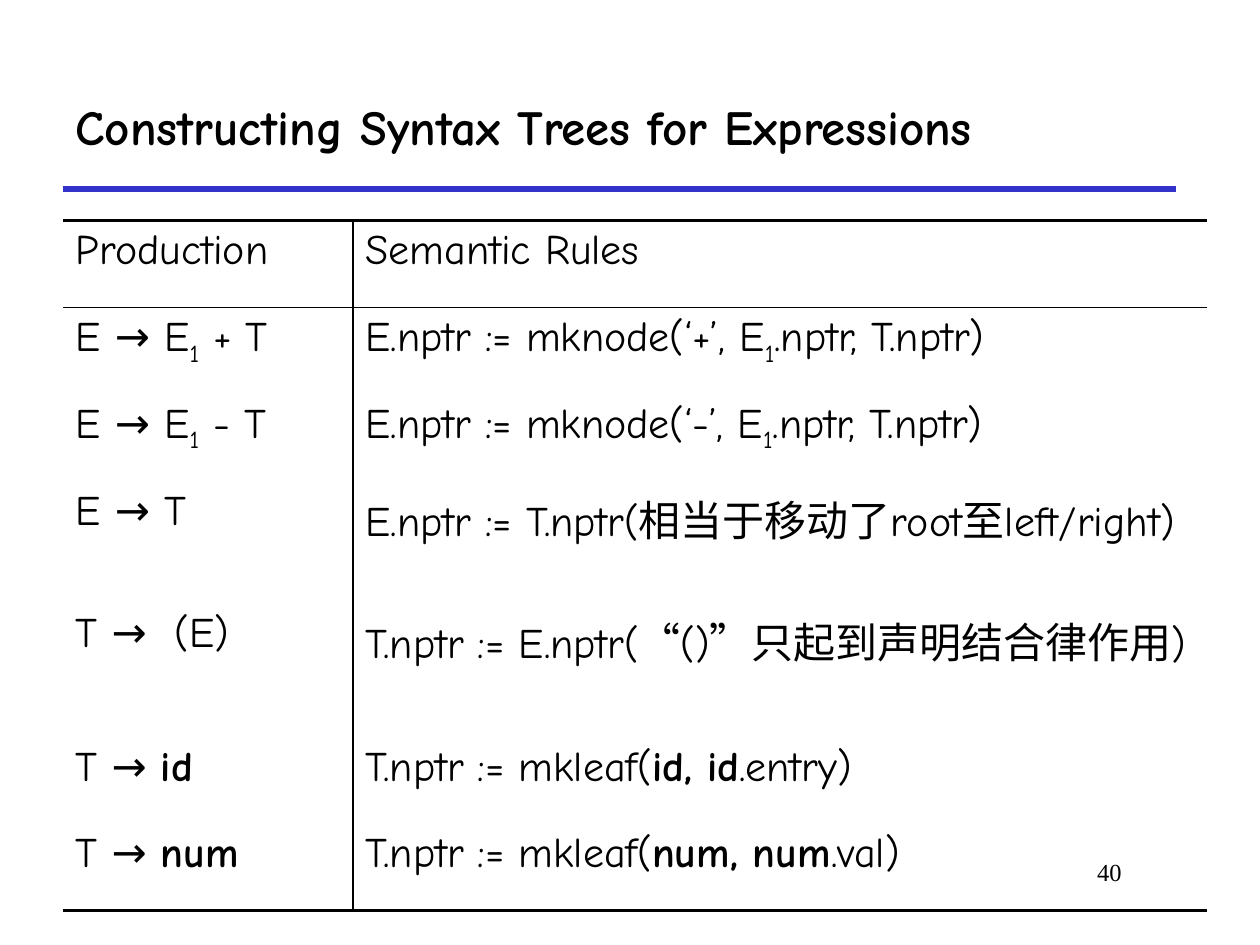
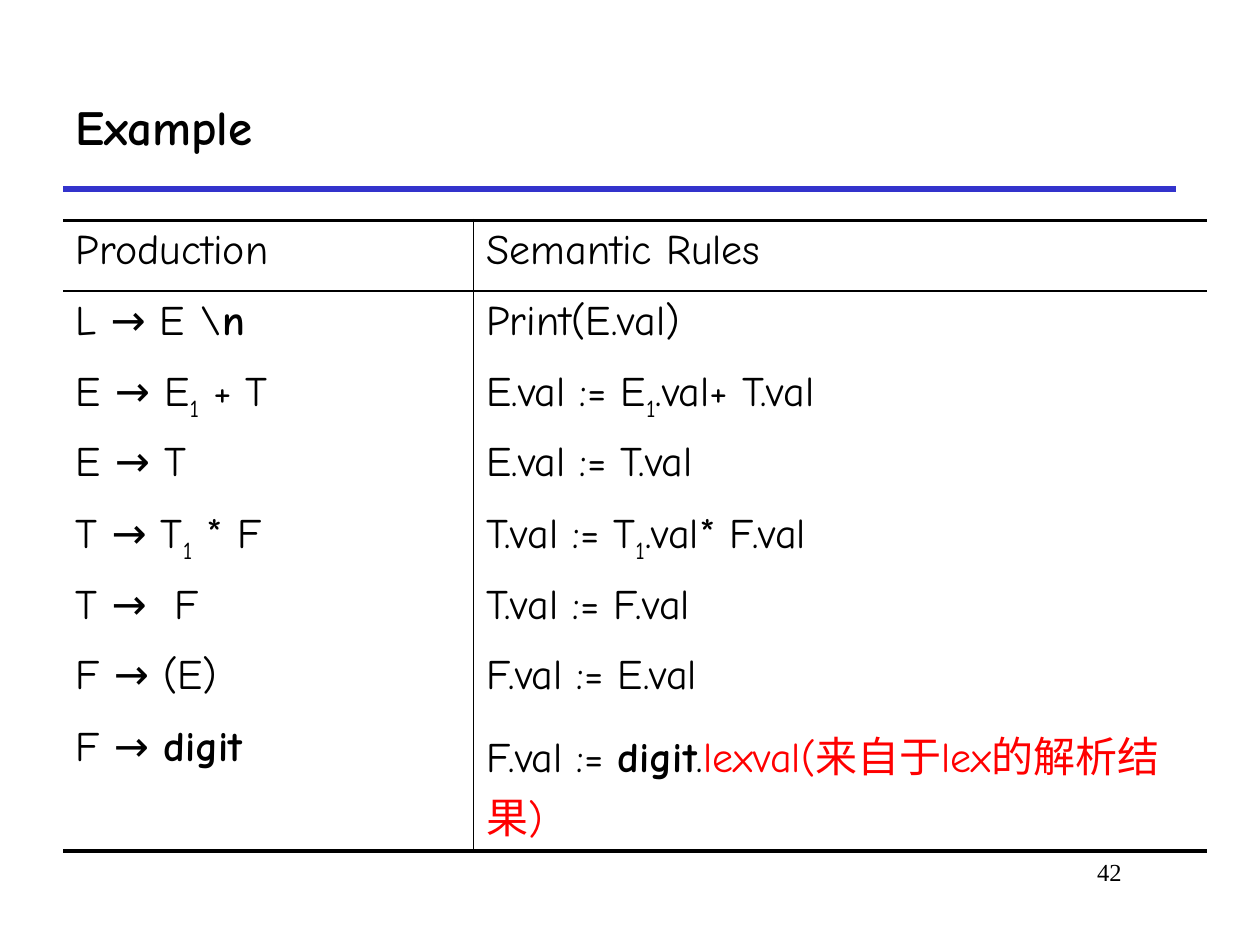
from lxml import etree
from pptx import Presentation
from pptx.dml.color import RGBColor
from pptx.enum.shapes import MSO_CONNECTOR
from pptx.enum.text import MSO_ANCHOR, PP_ALIGN
from pptx.oxml.ns import qn
from pptx.util import Inches, Pt

LINE = MSO_CONNECTOR.STRAIGHT
MID = MSO_ANCHOR.MIDDLE
TOP = MSO_ANCHOR.TOP
LEFT = PP_ALIGN.LEFT
RIGHT = PP_ALIGN.RIGHT
BLACK = RGBColor(0, 0, 0)
BLUE = RGBColor(0x33, 0x33, 0xCC)
RED = RGBColor(0xFF, 0, 0)

HEAD = {"name": "Comic Neue", "size": Pt(28), "bold": True}
BODY = {"name": "Comic Neue", "size": Pt(24), "bold": False}
PAGE = {"name": "Times New Roman", "size": Pt(14), "bold": False}

# Text marks after "|": "_" lowers, "^" makes bold, "~" makes red.
SLIDES = [
    {
        "title": "Constructing Syntax Trees for Expressions",
        "page": "40",
        "cols": [2.3, 6.78],
        "highs": [0.69, 0.69, 0.69, 0.97, 1.06, 0.69, 0.69],
        "rows": [
            ("Production", "Semantic Rules"),
            ("E → E|_1| + T", "E.nptr := mknode(‘+’, E|_1|.nptr, T.nptr)"),
            ("E → E|_1| - T", "E.nptr := mknode(‘-’, E|_1|.nptr, T.nptr)"),
            ("E → T", "E.nptr := T.nptr(相当于移动了root至left/right)"),
            ("T →  (E)", "T.nptr := E.nptr(“()”只起到声明结合律作用)"),
            ("T → |^id", "T.nptr := mkleaf(|^id, id|.entry)"),
            ("T → |^num", "T.nptr := mkleaf(|^num, num|.val)"),
        ],
    },
    {
        "title": "Example",
        "page": "42",
        "cols": [3.26, 5.82],
        "highs": [0.56, 0.57, 0.54, 0.57, 0.56, 0.56, 0.57, 1.06],
        "rows": [
            ("Production", "Semantic Rules"),
            ("L → E \\|^n", "Print(E.val)"),
            ("E → E|_1| + T", "E.val := E|_1|.val+ T.val"),
            ("E → T", "E.val := T.val"),
            ("T → T|_1| * F", "T.val := T|_1|.val* F.val"),
            ("T →  F", "T.val := F.val"),
            ("F → (E)", "F.val := E.val"),
            ("F → |^digit", "F.val := |^digit|.|~lexval(来自于lex的解析结果)"),
        ],
    },
]


def write(para, text, style, align=LEFT):
    para.alignment = align
    for part in text.split("|"):
        mark = part[0] if part[0] in "_^~" else ""
        run = para.add_run()
        run.text = part[len(mark):]
        for key, value in style.items():
            setattr(run.font, key, value)
        run.font.color.rgb = RED if mark == "~" else BLACK
        if mark == "^":
            run.font.bold = True
        if mark == "_":
            run.font._element.set("baseline", "-25000")


def edge(cell, side, width):
    props = cell._tc.get_or_add_tcPr()
    line = etree.SubElement(props, qn("a:ln" + side))
    if width:
        line.set("w", str(Pt(width)))
        fill = etree.SubElement(line, qn("a:solidFill"))
        etree.SubElement(fill, qn("a:srgbClr"), val=str(BLACK))
    else:
        etree.SubElement(line, qn("a:noFill"))


deck = Presentation()
deck.slide_width = Inches(10)
deck.slide_height = Inches(7.5)

for data in SLIDES:
    slide = deck.slides.add_slide(deck.slide_layouts[5])
    shapes = slide.shapes

    rule = shapes.add_connector(LINE, Inches(0.5), Inches(1.5), Inches(9.33), Inches(1.5))
    rule.line.color.rgb = BLUE
    rule.line.width = Pt(3)
    etree.SubElement(rule._element.spPr, qn("a:effectLst"))

    page = shapes.add_textbox(Inches(6.92), Inches(6.75), Inches(2.08), Inches(0.5))
    page.text_frame.word_wrap = True
    write(page.text_frame.paragraphs[0], data["page"], PAGE, RIGHT)

    title = shapes.title
    title.left, title.top = Inches(0.5), Inches(0.5)
    title.width, title.height = Inches(8.83), Inches(1)
    title.text_frame.vertical_anchor = MID
    write(title.text_frame.paragraphs[0], data["title"], HEAD)

    cols, highs, rows = data["cols"], data["highs"], data["rows"]
    frame = shapes.add_table(len(rows), len(cols), Inches(0.5), Inches(1.75),
                             Inches(sum(cols)), Inches(sum(highs)))
    table = frame.table
    table.first_row = False
    table.horz_banding = False
    for col, width in zip(table.columns, cols):
        col.width = Inches(width)
    for row, high in zip(table.rows, highs):
        row.height = Inches(high)

    last = len(rows) - 1
    for r, texts in enumerate(rows):
        for c, text in enumerate(texts):
            cell = table.cell(r, c)
            edge(cell, "L", c)
            edge(cell, "R", 1 - c)
            edge(cell, "T", {0: 2.25, 1: 1}.get(r, 0))
            edge(cell, "B", {0: 1, last: 2.25}.get(r, 0))
            cell.fill.background()
            cell.vertical_anchor = TOP
            write(cell.text_frame.paragraphs[0], text, BODY)

deck.save("out.pptx")
